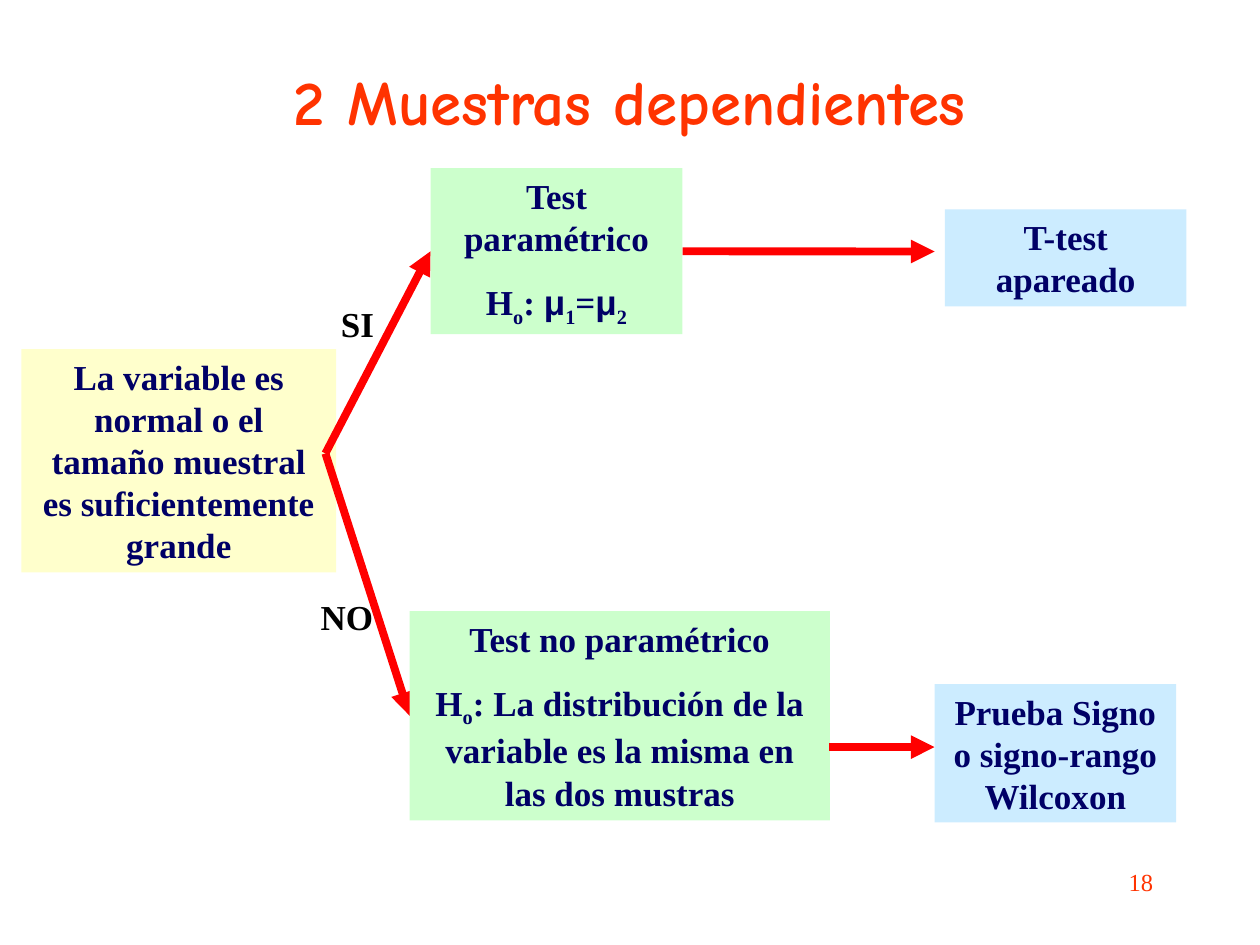
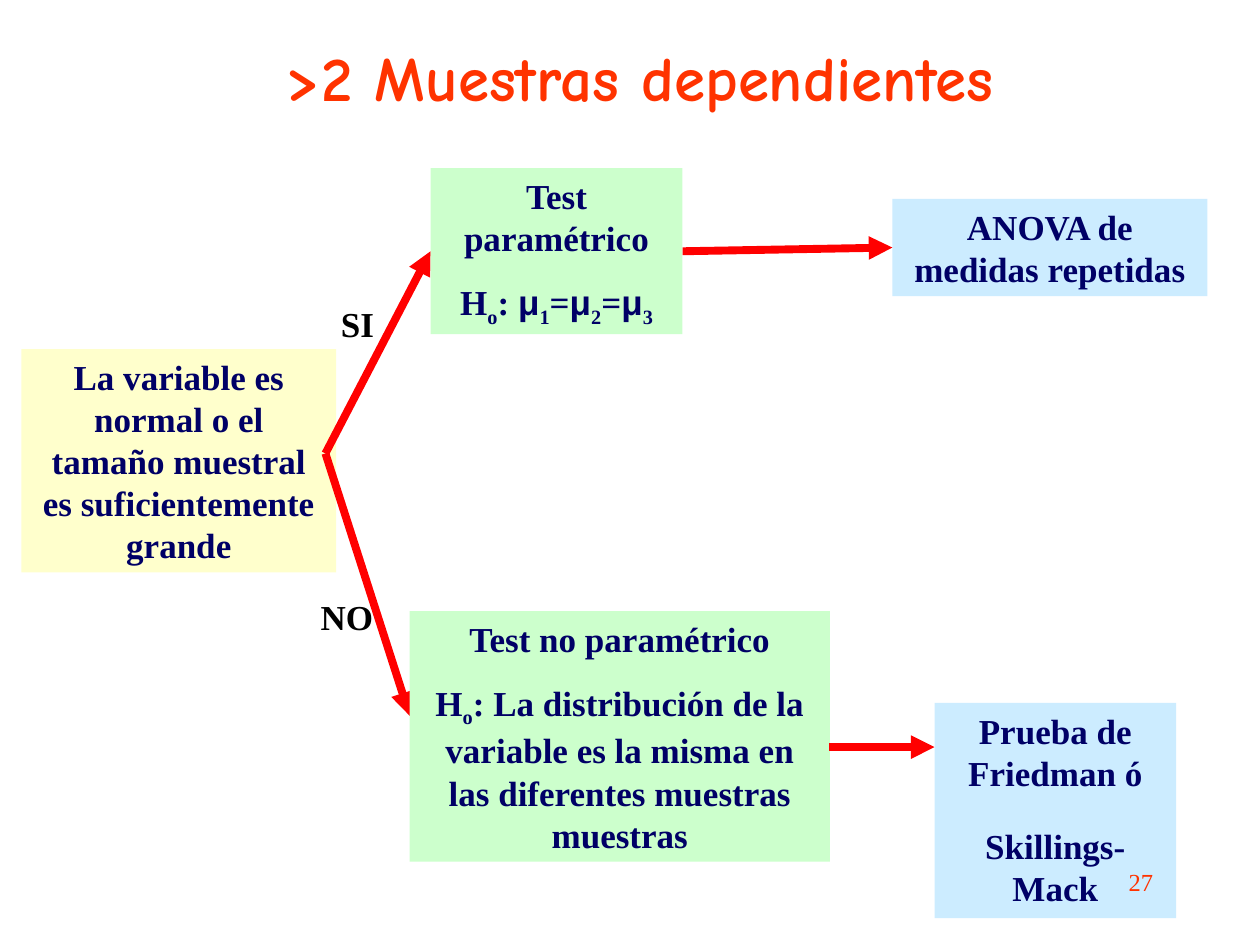
"""Build two decision-tree slides on tests for dependent samples."""
from dataclasses import dataclass

from lxml.etree import SubElement
from pptx import Presentation
from pptx.dml.color import RGBColor
from pptx.enum.shapes import MSO_CONNECTOR, MSO_SHAPE
from pptx.enum.text import MSO_ANCHOR, MSO_AUTO_SIZE, PP_ALIGN
from pptx.oxml.ns import qn
from pptx.util import Cm, Pt

LEFT, RIGHT = 1, 3
PLAIN, SUBSCRIPT, GREEK = "plain", "subscript", "greek"


@dataclass(frozen=True)
class Theme:
    title_color: RGBColor = RGBColor(0xFF, 0x33, 0x00)
    text_color: RGBColor = RGBColor(0x00, 0x00, 0x66)
    label_color: RGBColor = RGBColor(0x00, 0x00, 0x00)
    arrow_color: RGBColor = RGBColor(0xFF, 0x00, 0x00)
    question_fill: RGBColor = RGBColor(0xFF, 0xFF, 0xCC)
    hypothesis_fill: RGBColor = RGBColor(0xCC, 0xFF, 0xCC)
    test_fill: RGBColor = RGBColor(0xCC, 0xEC, 0xFF)
    title_font: str = "Comic Neue"
    text_font: str = "Times New Roman"
    greek_font: str = "Arial"
    title_size: Pt = Pt(36)
    text_size: Pt = Pt(20)
    number_size: Pt = Pt(14)
    paragraph_gap: Pt = Pt(12.5)
    arrow_width: Pt = Pt(4.5)


def set_values(target, values):
    for name, value in values.items():
        setattr(target, name, value)


def null_hypothesis(*spans):
    return [("H", PLAIN), ("o", SUBSCRIPT), (": ", PLAIN), *spans]


def equal_means(count):
    spans = []
    for index in range(1, count + 1):
        if index > 1:
            spans.append(("=", PLAIN))
        spans += [("μ", GREEK), (str(index), SUBSCRIPT)]
    return null_hypothesis(*spans)


class SlideBuilder:
    def __init__(self, deck, theme):
        self.deck, self.theme = deck, theme
        self.page = None

    def start_page(self, title, area):
        self.page = self.deck.slides.add_slide(self.deck.slide_layouts[5])
        theme, box = self.theme, self.page.shapes.title
        left, top, width, height = map(Cm, area)
        set_values(box, {"left": left, "top": top, "width": width, "height": height})
        self.fill_text(box, [title], MSO_ANCHOR.MIDDLE, MSO_AUTO_SIZE.NONE, name=theme.title_font,
                       size=theme.title_size, color=theme.title_color)

    def fill_text(self, box, paragraphs, anchor=MSO_ANCHOR.TOP, fit=MSO_AUTO_SIZE.SHAPE_TO_FIT_TEXT,
                  align=PP_ALIGN.CENTER, gap=None, color=None, **font):
        theme, frame = self.theme, box.text_frame
        set_values(frame, {"word_wrap": True, "vertical_anchor": anchor, "auto_size": fit})
        style = {"name": theme.text_font, "size": theme.text_size, "bold": True, **font}
        for index, spans in enumerate(paragraphs):
            para = frame.add_paragraph() if index else frame.paragraphs[0]
            space = (gap or theme.paragraph_gap) if index else Pt(0)
            set_values(para, {"alignment": align, "space_before": space})
            for text, kind in [(spans, PLAIN)] if isinstance(spans, str) else spans:
                span = para.add_run()
                span.text = text
                set_values(span.font, style)
                span.font.color.rgb = color or theme.text_color
                if kind == GREEK:
                    span.font.name = theme.greek_font
                if kind == SUBSCRIPT:
                    span._r.get_or_add_rPr().set("baseline", "-25000")

    def box(self, area, fill, *paragraphs, gap=None):
        box = self.page.shapes.add_shape(MSO_SHAPE.RECTANGLE, *map(Cm, area))
        box.shadow.inherit = False
        box.fill.solid()
        box.fill.fore_color.rgb = fill
        box.line.fill.background()
        self.fill_text(box, paragraphs, gap=gap)
        return box

    def label(self, area, text, **style):
        box = self.page.shapes.add_textbox(*map(Cm, area))
        self.fill_text(box, [text], **style)

    def arrow(self, start, end):
        arrow = self.page.shapes.add_connector(MSO_CONNECTOR.STRAIGHT, *map(Cm, start + end))
        arrow.line.color.rgb = self.theme.arrow_color
        arrow.line.width = self.theme.arrow_width
        SubElement(arrow.line._get_or_add_ln(), qn("a:tailEnd"), type="triangle")
        SubElement(arrow._element.spPr, qn("a:effectLst"))
        return arrow

    def decision(self, mean_count, distribution, height):
        theme = self.theme
        self.box((0.43, 7.04, 6.35, 4.5), theme.question_fill,
                 "La variable es normal o el tamaño muestral es suficientemente grande")
        fork = (6.56, 9.14)
        yes_arrow = self.arrow(fork, (8.68, 5.07))
        self.label((5.72, 5.97, 2.97, 1.12), "SI", color=theme.label_color)
        no_arrow = self.arrow(fork, (8.26, 14.43))
        self.label((5.51, 11.89, 2.97, 1.12), "NO", color=theme.label_color)
        parametric = self.box((8.68, 3.39, 5.08, 3.35), theme.hypothesis_fill,
                              "Test paramétrico", equal_means(mean_count))
        yes_arrow.end_connect(parametric, LEFT)
        nonparametric = self.box((8.26, 12.32, 8.47, height), theme.hypothesis_fill,
                                 "Test no paramétrico", null_hypothesis((distribution, PLAIN)))
        self.arrow((16.72, 15.06), (18.84, 15.06))
        return parametric, nonparametric, no_arrow

    def page_number(self, number):
        theme = self.theme
        self.label((18.21, 17.35, 5.29, 1.27), number, align=PP_ALIGN.RIGHT, bold=False,
                   size=theme.number_size, color=theme.title_color, fit=MSO_AUTO_SIZE.NONE)


def two_samples(builder):
    fill = builder.theme.test_fill
    builder.start_page("2 Muestras dependientes", (1.9, 0.43, 21.59, 3.18))
    parametric, nonparametric, no_arrow = builder.decision(
        2, "La distribución de la variable es la misma en las dos mustras", 4.22)
    no_arrow.end_connect(nonparametric, LEFT)
    builder.box((18.84, 13.79, 4.87, 2.79), fill, "Prueba Signo o signo-rango Wilcoxon")
    builder.box((19.05, 4.22, 4.87, 1.96), fill, "T-test apareado")
    arrow = builder.arrow((13.76, 5.07), (18.84, 5.07))
    arrow.begin_connect(parametric, RIGHT)
    builder.page_number("18")


def several_samples(builder):
    fill = builder.theme.test_fill
    builder.start_page(">2 Muestras dependientes", (2.11, 0, 21.59, 3.07))
    parametric, _, _ = builder.decision(
        3, "La distribución de la variable es la misma en las diferentes muestras muestras", 5.05)
    builder.box((18.84, 14.17, 4.87, 4.34), fill,
                "Prueba de Friedman ó", "Skillings-Mack", gap=Pt(18))
    anova = builder.box((17.99, 4.01, 6.35, 1.96), fill, "ANOVA de medidas repetidas")
    arrow = builder.arrow((13.76, 5.07), (17.99, 4.99))
    arrow.begin_connect(parametric, RIGHT)
    arrow.end_connect(anova, LEFT)
    builder.page_number("27")


def main():
    deck = Presentation()
    set_values(deck, {"slide_width": Cm(25.4), "slide_height": Cm(19.05)})
    builder = SlideBuilder(deck, Theme())
    two_samples(builder)
    several_samples(builder)
    deck.save("out.pptx")


if __name__ == "__main__":
    main()
